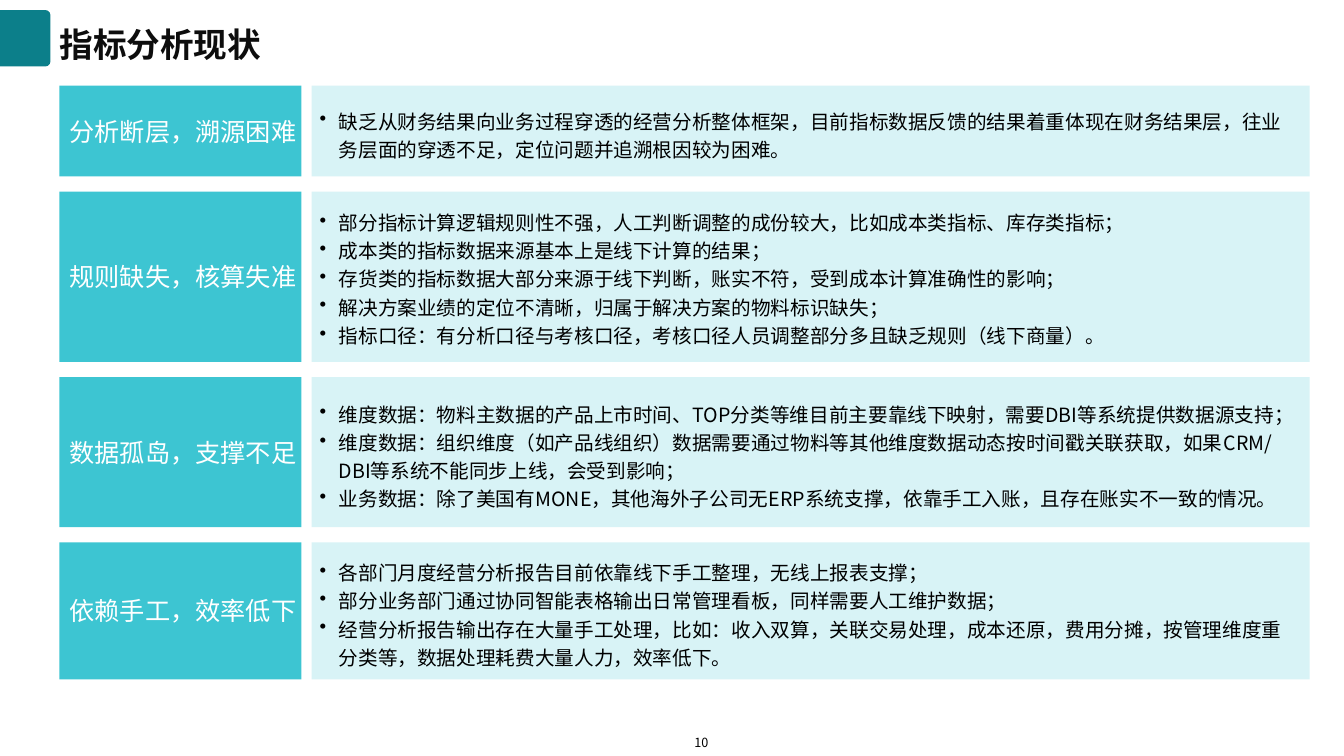
from dataclasses import dataclass

from lxml.etree import SubElement
from pptx import Presentation
from pptx.dml.color import RGBColor
from pptx.enum.shapes import MSO_SHAPE
from pptx.enum.text import MSO_ANCHOR, MSO_AUTO_SIZE, PP_ALIGN
from pptx.oxml.ns import qn
from pptx.util import Pt

EMU_PER_PX = 9144  # 100 px to the inch


def px(length):
    return length * EMU_PER_PX


@dataclass(frozen=True)
class Theme:
    font: str = "Noto Sans CJK SC"
    accent: str = "0C7F8A"
    label_fill: str = "3DC5D2"
    detail_fill: str = "D8F3F6"
    title_color: str = "0D0D0D"
    label_color: str = "FFFFFF"
    body_color: str = "000000"
    title_size: int = 24
    label_size: int = 18
    body_size: int = 14
    number_size: int = 9


class SlideBuilder:
    def __init__(self, slide, theme):
        self.slide = slide
        self.theme = theme

    def format_text(self, text_frame, size, color, insets, bold=False,
                    align=PP_ALIGN.LEFT, spacing=None, anchor=MSO_ANCHOR.MIDDLE):
        text_frame.vertical_anchor = anchor
        (text_frame.margin_left, text_frame.margin_top,
         text_frame.margin_right, text_frame.margin_bottom) = map(px, insets)
        for paragraph in text_frame.paragraphs:
            paragraph.alignment = align
            paragraph.line_spacing = spacing
            for run in paragraph.runs:
                run.font.size = Pt(size)
                run.font.bold = bold
                run.font.color.rgb = RGBColor.from_string(color)
                run.font.name = self.theme.font
                east_asian = SubElement(run.font._element, qn("a:ea"))
                east_asian.set("typeface", self.theme.font)

    def block(self, left, top, width, height, fill, preset=MSO_SHAPE.RECTANGLE):
        shape = self.slide.shapes.add_shape(preset, px(left), px(top), px(width), px(height))
        shape.shadow.inherit = False
        shape.fill.solid()
        shape.fill.fore_color.rgb = RGBColor.from_string(fill)
        shape.line.fill.background()
        return shape

    def corner_tab(self, left, top, width, height):
        shape = self.block(left, top, width, height, self.theme.accent,
                           MSO_SHAPE.ROUND_2_SAME_RECTANGLE)
        shape.adjustments[0] = 0.1
        shape.rotation = 90

    def title(self, text, left, top, width, height):
        title = self.slide.shapes.title
        title.left, title.top, title.width, title.height = map(px, (left, top, width, height))
        title.text_frame.text = text
        title.text_frame.auto_size = MSO_AUTO_SIZE.NONE
        self.format_text(title.text_frame, self.theme.title_size, self.theme.title_color,
                         (0, 0, 0, 0), bold=True, spacing=1.3)

    def label(self, text, left, top, width, height):
        text_frame = self.block(left, top, width, height, self.theme.label_fill).text_frame
        text_frame.text = text
        text_frame.word_wrap = False
        self.format_text(text_frame, self.theme.label_size, self.theme.label_color, (10, 5, 10, 5))

    def details(self, points, left, top, width, height, inset_top):
        text_frame = self.block(left, top, width, height, self.theme.detail_fill).text_frame
        text_frame.text = "\n".join(points)
        text_frame.word_wrap = True
        for paragraph in text_frame.paragraphs:
            properties = paragraph._p.get_or_add_pPr()
            properties.set("marL", str(px(19)))
            properties.set("indent", str(px(-19)))
            SubElement(properties, qn("a:buChar")).set("char", "•")
        self.format_text(text_frame, self.theme.body_size, self.theme.body_color,
                         (8, inset_top, 8, 0), spacing=1.2)

    def page_number(self, text, left, top, width, height):
        box = self.slide.shapes.add_textbox(px(left), px(top), px(width), px(height))
        box.text_frame.text = text
        box.text_frame.word_wrap = True
        self.format_text(box.text_frame, self.theme.number_size, self.theme.body_color,
                         (4, 5, 4, 5), align=PP_ALIGN.CENTER, anchor=MSO_ANCHOR.TOP)


# Each issue: label, height, top inset of the details, points
ISSUES = [
    ("分析断层，溯源困难", 90, 4, [
        "缺乏从财务结果向业务过程穿透的经营分析整体框架，目前指标数据反馈的结果着重体现在财务结果层，往业务层面的穿透不足，定位问题并追溯根因较为困难。",
    ]),
    ("规则缺失，核算失准", 169, 0, [
        "部分指标计算逻辑规则性不强，人工判断调整的成份较大，比如成本类指标、库存类指标；",
        "成本类的指标数据来源基本上是线下计算的结果；",
        "存货类的指标数据大部分来源于线下判断，账实不符，受到成本计算准确性的影响；",
        "解决方案业绩的定位不清晰，归属于解决方案的物料标识缺失；",
        "指标口径：有分析口径与考核口径，考核口径人员调整部分多且缺乏规则（线下商量）。",
    ]),
    ("数据孤岛，支撑不足", 149, 4, [
        "维度数据：物料主数据的产品上市时间、TOP分类等维目前主要靠线下映射，需要DBI等系统提供数据源支持；",
        "维度数据：组织维度（如产品线组织）数据需要通过物料等其他维度数据动态按时间戳关联获取，如果CRM/DBI等系统不能同步上线，会受到影响；",
        "业务数据：除了美国有MONE，其他海外子公司无ERP系统支撑，依靠手工入账，且存在账实不一致的情况。",
    ]),
    ("依赖手工，效率低下", 136, 4, [
        "各部门月度经营分析报告目前依靠线下手工整理，无线上报表支撑；",
        "部分业务部门通过协同智能表格输出日常管理看板，同样需要人工维护数据；",
        "经营分析报告输出存在大量手工处理，比如：收入双算，关联交易处理，成本还原，费用分摊，按管理维度重分类等，数据处理耗费大量人力，效率低下。",
    ]),
]
FIRST_ROW_TOP, ROW_GAP = 85, 15


def main():
    presentation = Presentation()
    presentation.slide_width, presentation.slide_height = px(1333), px(750)
    title_only = presentation.slide_layouts[5]
    builder = SlideBuilder(presentation.slides.add_slide(title_only), Theme())

    # Heading
    builder.corner_tab(-3, 13, 56, 50)
    builder.title("指标分析现状", 59, 10, 1162, 56)

    # Issue rows
    top = FIRST_ROW_TOP
    for label, height, inset_top, points in ISSUES:
        builder.label(label, 59, top, 240, height)
        builder.details(points, 309, top, 990, height, inset_top)
        top += height + ROW_GAP

    # Footer
    builder.page_number("10", 665, 724, 61, 25)

    presentation.save("out.pptx")


if __name__ == "__main__":
    main()
